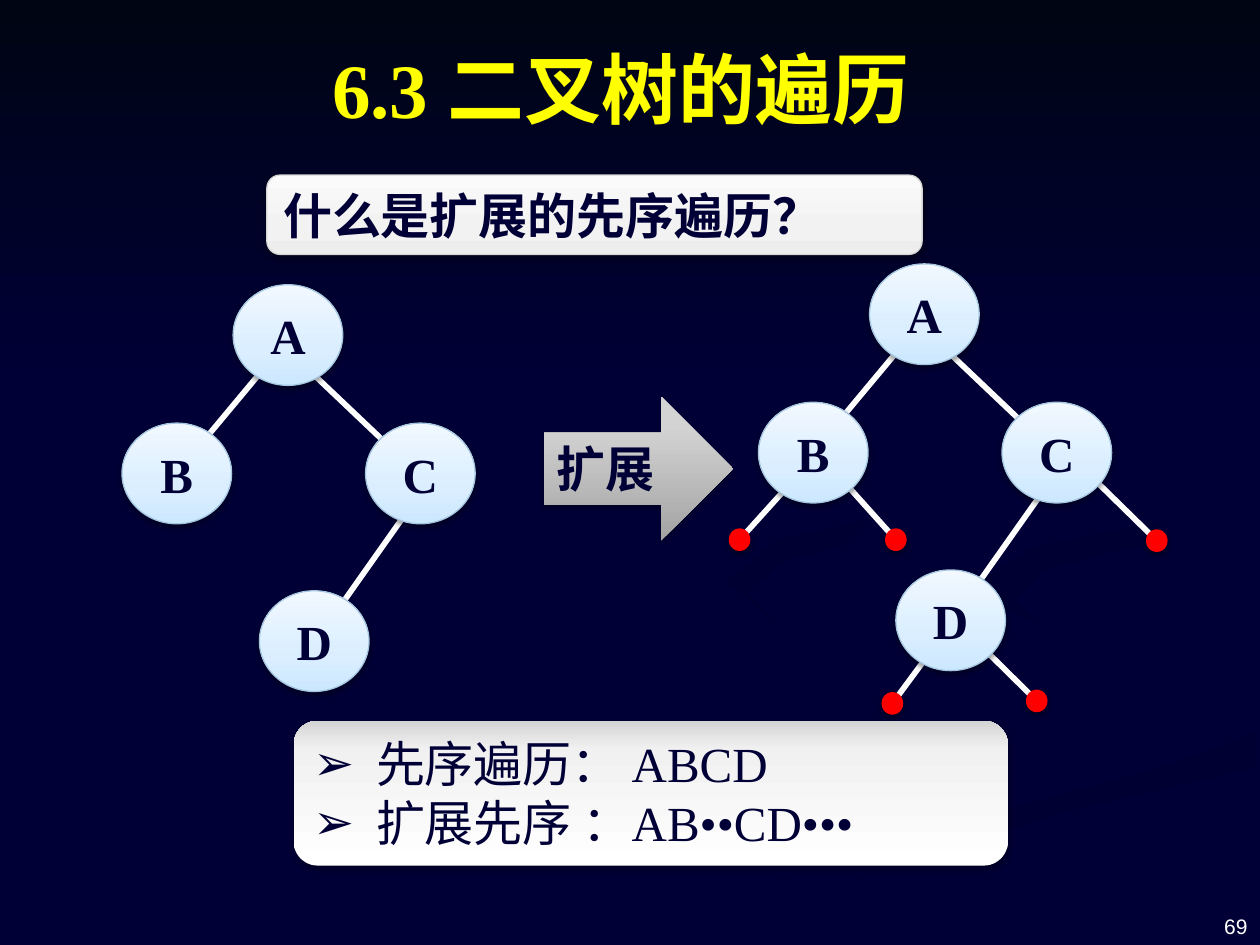
from dataclasses import dataclass
from typing import NamedTuple

from lxml import etree
from pptx import Presentation
from pptx.dml.color import RGBColor
from pptx.enum import shapes, text
from pptx.oxml.ns import qn
from pptx.util import Cm, Pt


@dataclass(frozen=True)
class Theme:
    navy: str = "000036"
    white: str = "FFFFFF"
    yellow: str = "FFFF00"
    red: str = "FF0000"
    node_edge: str = "A5C6DE"
    question_edge: str = "D5D5D5"
    sky: tuple = ((0, "000514"), (100, "000036"))
    node: tuple = ((0, "CCE8FF"), (35, "DAEEFF"), (100, "F1F8FF"))
    question: tuple = ((0, "EDEDED"), (35, "F2F2F2"), (100, "FAFAFA"))
    arrow: tuple = ((0, "A3A3A3"), (80, "D3D3D3"), (100, "D4D4D4"))
    answer: tuple = ((0, "FFFFFF"), (80, "F1F1F1"), (100, "D4D4D4"))
    serif: str = "Times New Roman"
    sans: str = "Arial"
    title: int = 44
    body: int = 28
    small: int = 12


class Node(NamedTuple):
    label: str
    left: float
    top: float


class Edge(NamedTuple):
    x1: float
    y1: float
    x2: float
    y2: float


class Ribbon(NamedTuple):
    stops: tuple
    angle: int
    points: tuple


T = Theme()
UP, DOWN, DIAGONAL, ACROSS = 90, 270, 315, 0
NODE_W, NODE_H = 2.21, 2.03
LEAF_W, LEAF_H = 0.41, 0.43
EXTENDED_SHIFT = (12.83, -0.42)

NODES = (Node("A", 4.7, 5.74), Node("B", 2.46, 8.53),
         Node("C", 7.37, 8.53), Node("D", 5.23, 11.91))
EDGES = (Edge(5.56, 7.14, 3.91, 9.12), Edge(5.89, 7.14, 8.48, 9.6),
         Edge(8.71, 9.6, 6.5, 12.73))
# Each of these ends in the centre of an empty leaf
LEAF_EDGES = (Edge(16.41, 9.22, 14.91, 10.88), Edge(16.66, 9.32, 18.06, 10.88),
              Edge(19.18, 12.57, 17.99, 14.18), Edge(19.48, 12.73, 20.9, 14.13),
              Edge(21.89, 9.5, 23.32, 10.9))

FADE_IN = ((0, "000032"), (100, T.navy))
FADE_OUT = ((0, T.navy), (100, "000034"))
RIBBONS = (
    Ribbon(FADE_OUT, ACROSS, (
        (14.6, 11.66), (14.48, 11.99), (15.06, 12.47), (16.03, 12.83), (18.14, 13.46),
        (19.35, 13.89), (19.94, 14.27), (19.81, 14.71), (18.77, 15.19), (16.56, 15.75),
        (13.69, 16.48), (10.59, 17.53), (7.62, 19.02), (9.17, 19.02), (11.84, 17.78),
        (14.33, 16.89), (17.17, 16.1), (19.2, 15.6), (20.09, 15.16), (20.32, 14.76),
        (19.84, 14.05), (18.57, 13.54), (16.31, 12.88), (15.09, 12.32))),
    Ribbon(FADE_OUT, DIAGONAL, (
        (18.39, 11.79), (18.62, 12.4), (19.46, 13), (21.29, 13.61), (22.66, 14.05),
        (23.29, 14.63), (23.14, 15.06), (22.71, 15.37), (23.67, 14.96), (23.95, 14.48),
        (23.34, 13.89), (22.1, 13.46), (20.12, 12.93), (18.92, 12.45))),
    Ribbon(FADE_IN, DOWN, (
        (12.78, 19.02), (14.5, 19.02), (15.6, 18.44), (17.02, 17.83), (19.1, 17.07),
        (21.87, 16.26), (25.35, 15.47), (25.35, 14.76), (23.37, 15.49), (20.24, 16.33),
        (16.82, 17.3), (14.45, 18.26))),
    Ribbon(FADE_IN, DIAGONAL, (
        (19.84, 11.68), (20.24, 12.27), (20.98, 12.6), (20.45, 12.09), (21.03, 11.51),
        (22.3, 11.15), (25.35, 10.67), (25.35, 10.21), (22.81, 10.62), (20.85, 11.02))),
    Ribbon(FADE_IN, DIAGONAL, (
        (19.35, 5.92), (20.98, 6.76), (22.25, 7.77), (22.58, 8.51), (22.25, 9.14),
        (20.78, 9.8), (17.88, 10.39), (15.62, 10.9), (14.66, 11.73), (15.8, 12.7),
        (15.06, 11.94), (15.85, 11.28), (17.35, 10.92), (19.96, 10.46), (22.02, 9.75),
        (22.71, 8.74), (22.17, 7.59), (20.85, 6.63))),
)


def rgb(value: str) -> RGBColor:
    return RGBColor.from_string(value)


def paint(shape, fill, angle: int = UP, line: str = "", shadow: int = 0) -> None:
    """Fill with a colour or gradient stops; shadow is its opacity in percent."""
    if isinstance(fill, str):
        shape.fill.solid()
        shape.fill.fore_color.rgb = rgb(fill)
    else:
        shape.fill.gradient()
        shape.fill.gradient_angle = angle
        stop_list = shape._element.spPr.find(".//" + qn("a:gsLst"))
        stop_list[:] = []
        for position, colour in fill:
            stop = etree.SubElement(stop_list, qn("a:gs"), pos=str(position * 1000))
            etree.SubElement(stop, qn("a:srgbClr"), val=colour)
    if line:
        shape.line.color.rgb = rgb(line)
        shape.line.width = Pt(0.75)
    else:
        shape.line.fill.background()
    shape.shadow.inherit = False
    if shadow:
        effects = shape._element.spPr.find(qn("a:effectLst"))
        outer = etree.SubElement(effects, qn("a:outerShdw"), blurRad=str(Pt(3.1)),
                                 dist=str(Pt(1.6)), dir="5400000", rotWithShape="0")
        black = etree.SubElement(outer, qn("a:srgbClr"), val="000000")
        etree.SubElement(black, qn("a:alpha"), val=str(shadow * 1000))


def write(shape, words: str, *, size: int = T.body, colour: str = T.navy, font: str = T.serif,
          bold: bool = False, align=text.PP_ALIGN.LEFT, anchor=text.MSO_ANCHOR.TOP,
          bullet: str = "") -> None:
    frame = shape.text_frame
    frame.word_wrap = True
    frame.vertical_anchor = anchor
    frame.text = words
    for paragraph in frame.paragraphs:
        paragraph.alignment = align
        if bullet:
            properties = paragraph._p.get_or_add_pPr()
            properties.set("marL", str(Cm(1.27)))
            properties.set("indent", str(Cm(-1.27)))
            etree.SubElement(properties, qn("a:buFont"), typeface=T.sans)
            etree.SubElement(properties, qn("a:buChar"), char=bullet)
        for run in paragraph.runs:
            run.font.size, run.font.name, run.font.bold = Pt(size), font, bold
            run.font.color.rgb = rgb(colour)


def add_shape(slide, kind, left: float, top: float, width: float, height: float):
    return slide.shapes.add_shape(kind, Cm(left), Cm(top), Cm(width), Cm(height))


def add_text(slide, left: float, top: float, width: float, height: float, words: str, **style):
    box = slide.shapes.add_textbox(Cm(left), Cm(top), Cm(width), Cm(height))
    write(box, words, **style)


def draw_ribbon(slide, ribbon: Ribbon) -> None:
    points = [(Cm(x), Cm(y)) for x, y in ribbon.points]
    builder = slide.shapes.build_freeform(*points[0])
    builder.add_line_segments(points[1:], close=True)
    paint(builder.convert_to_shape(), ribbon.stops, ribbon.angle)


def draw_edge(slide, edge: Edge, dx: float = 0, dy: float = 0) -> None:
    branch = slide.shapes.add_connector(
        shapes.MSO_CONNECTOR.STRAIGHT, Cm(edge.x1 + dx), Cm(edge.y1 + dy),
        Cm(edge.x2 + dx), Cm(edge.y2 + dy))
    branch.line.color.rgb = rgb(T.white)
    branch.line.width = Pt(3.25)
    etree.SubElement(branch._element.spPr, qn("a:effectLst"))


def draw_tree(slide, dx: float = 0, dy: float = 0, leaf_edges: tuple = ()) -> None:
    for edge in EDGES:
        draw_edge(slide, edge, dx, dy)
    for edge in leaf_edges:
        draw_edge(slide, edge)
    for node in NODES:
        circle = add_shape(slide, shapes.MSO_SHAPE.OVAL, node.left + dx, node.top + dy,
                           NODE_W, NODE_H)
        paint(circle, T.node, line=T.node_edge, shadow=38)
        write(circle, node.label, bold=True, align=text.PP_ALIGN.CENTER,
              anchor=text.MSO_ANCHOR.MIDDLE)
    for edge in leaf_edges:
        leaf = add_shape(slide, shapes.MSO_SHAPE.OVAL, edge.x2 - LEAF_W / 2,
                         edge.y2 - LEAF_H / 2, LEAF_W, LEAF_H)
        paint(leaf, T.red, line=T.red, shadow=38)


def main() -> None:
    deck = Presentation()
    deck.slide_width, deck.slide_height = Cm(25.4), Cm(19.05)
    slide = deck.slides.add_slide(deck.slide_layouts[6])

    # Backdrop
    slide.background.fill.solid()
    slide.background.fill.fore_color.rgb = rgb(T.navy)
    for ribbon in RIBBONS:
        draw_ribbon(slide, ribbon)
    paint(add_shape(slide, shapes.MSO_SHAPE.RECTANGLE, 0, 0, 25.4, 7.82), T.sky, DOWN)

    # Title, page number and question
    add_text(slide, 1.09, 0.41, 22.86, 2.72, "6.3 二叉树的遍历", size=T.title, colour=T.yellow,
             bold=True, align=text.PP_ALIGN.CENTER, anchor=text.MSO_ANCHOR.MIDDLE)
    add_text(slide, 19.48, 17.73, 5.92, 1.32, "69", size=T.small, colour=T.white, font=T.sans,
             align=text.PP_ALIGN.RIGHT, anchor=text.MSO_ANCHOR.BOTTOM)
    question = add_shape(slide, shapes.MSO_SHAPE.ROUNDED_RECTANGLE, 5.38, 3.53, 13.21, 1.6)
    paint(question, T.question, line=T.question_edge, shadow=38)
    write(question, "什么是扩展的先序遍历？", bold=True)

    # Plain tree and extended tree
    draw_tree(slide)
    draw_tree(slide, *EXTENDED_SHIFT, leaf_edges=LEAF_EDGES)
    extend = add_shape(slide, shapes.MSO_SHAPE.RIGHT_ARROW, 10.97, 8, 3.81, 2.9)
    paint(extend, T.arrow, shadow=35)
    write(extend, "扩展", bold=True)

    # Traversal results
    answer = add_shape(slide, shapes.MSO_SHAPE.ROUNDED_RECTANGLE, 5.92, 14.53, 14.4, 2.92)
    paint(answer, T.answer, shadow=35)
    write(answer, "先序遍历： ABCD\n扩展先序 ：AB••CD•••", bullet="➢")

    deck.save("out.pptx")


if __name__ == "__main__":
    main()
